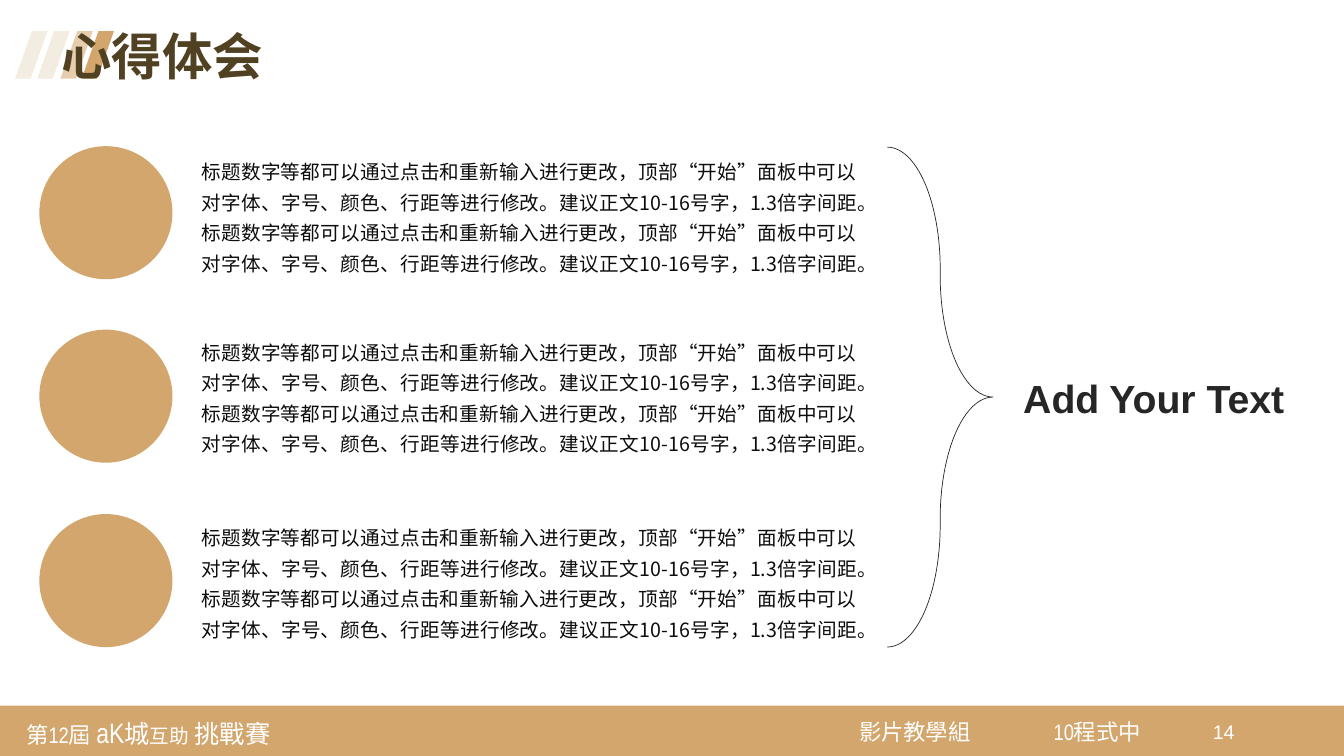
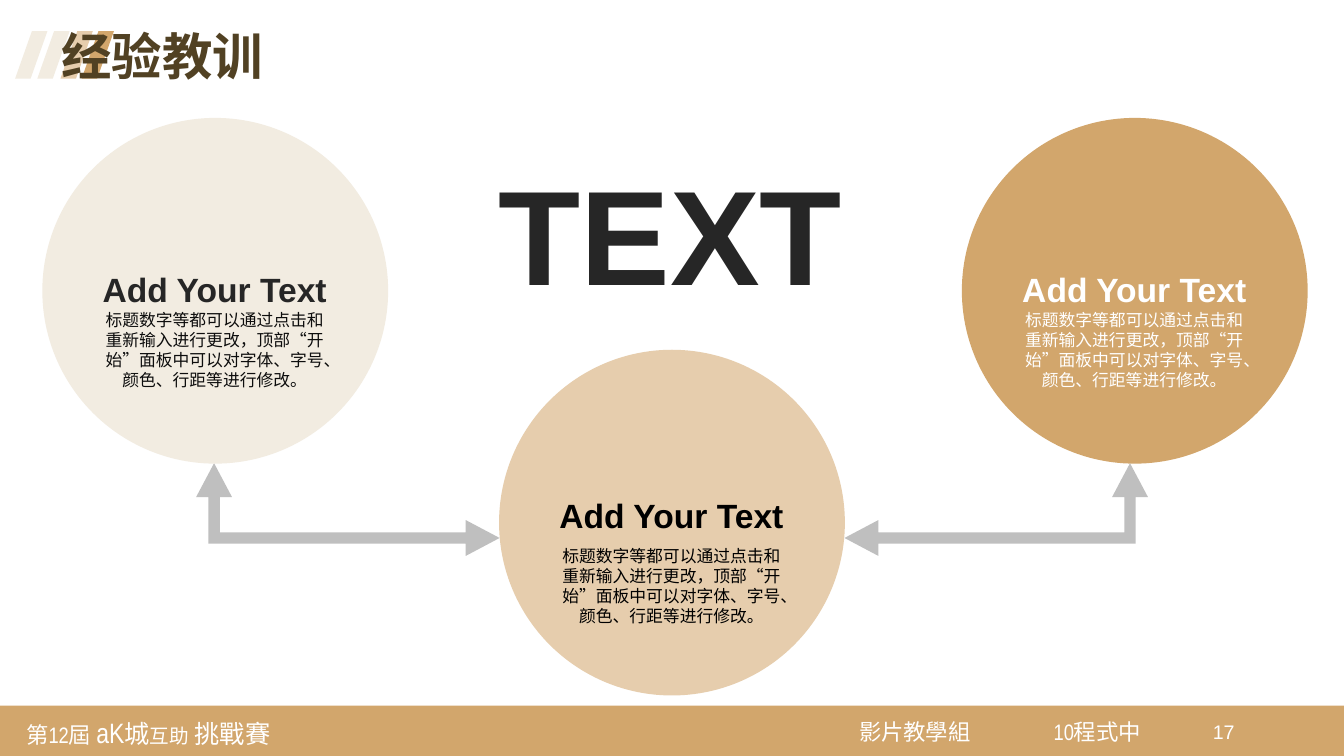
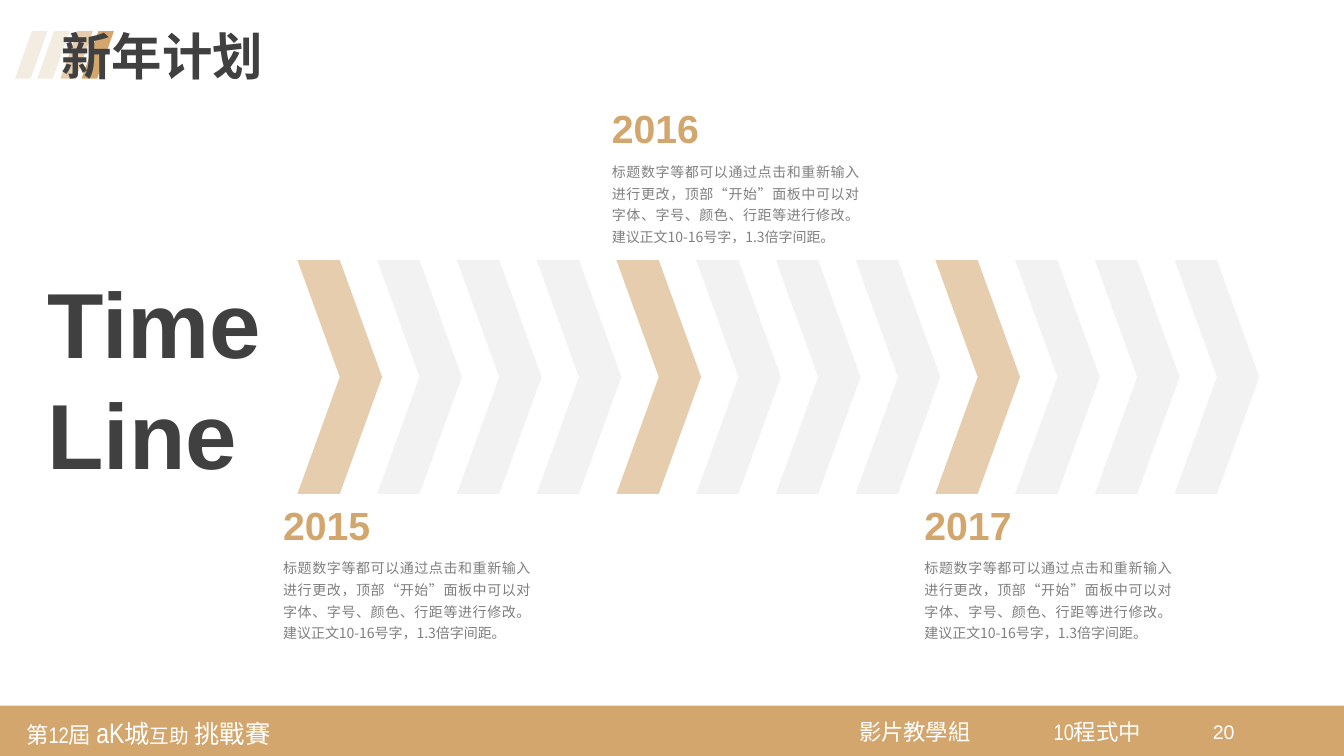
from lxml.etree import SubElement
from pptx import Presentation
from pptx.dml.color import RGBColor
from pptx.enum.lang import MSO_LANGUAGE_ID
from pptx.enum.shapes import MSO_SHAPE
from pptx.enum.text import MSO_ANCHOR, MSO_AUTO_SIZE, PP_ALIGN
from pptx.oxml.ns import qn
from pptx.util import Inches, Pt

GOLD, SAND, CREAM = "D2A66C", "E6CDAD", "F2ECE1"
BROWN, DARK, SLATE, INK = "514123", "262626", "404040", "0D0D0D"
GREY, SILVER, PALE = "808080", "BFBFBF", "F2F2F2"
WHITE, BLACK = "FFFFFF", "000000"
SANS, NARROW, HAN = "Arial", "Arial Narrow", "Noto Sans CJK SC"

SHORT = "标题数字等都可以通过点击和重新输入进行更改，顶部“开始”面板中可以对字体、字号、颜色、行距等进行修改。"
FULL = SHORT + "建议正文10-16号字，1.3倍字间距。"
LABEL = "Add Your Text"


def hue(code):
    return RGBColor.from_string(code)


def style(run, size, face, color, bold=False):
    font = run.font
    font.size = Pt(size)
    font.bold = bold
    font.color.rgb = hue(color)
    font.name = face
    font.language_id = MSO_LANGUAGE_ID.SIMPLIFIED_CHINESE
    SubElement(run._r.get_or_add_rPr(), qn("a:ea")).set("typeface", HAN)


def place(shape, left, top, width, height):
    shape.left, shape.top = Inches(left), Inches(top)
    shape.width, shape.height = Inches(width), Inches(height)


def write(slide, box, text, size, face, color, bold=False,
          align=PP_ALIGN.LEFT, space=None, wrap=True):
    shape = slide.shapes.add_textbox(*map(Inches, box))
    frame = shape.text_frame
    frame.word_wrap = wrap
    frame.auto_size = MSO_AUTO_SIZE.SHAPE_TO_FIT_TEXT
    frame.text = text
    for para in frame.paragraphs:
        para.alignment = align
        if space:
            para.line_spacing = space
        for run in para.runs:
            style(run, size, face, color, bold)
    return shape


def draw(slide, kind, box, fill=None, line=None, adjust=()):
    shape = slide.shapes.add_shape(kind, *map(Inches, box))
    shape.shadow.inherit = False
    if fill:
        shape.fill.solid()
        shape.fill.fore_color.rgb = hue(fill)
    else:
        shape.fill.background()
    if line:
        shape.line.color.rgb = hue(line)
        shape.line.width = Pt(0.5)
    else:
        shape.line.fill.background()
    for index, value in enumerate(adjust):
        shape.adjustments[index] = value
    return shape


def note(slide, box, parts):
    shape = write(slide, box, "", 16, NARROW, WHITE)
    frame = shape.text_frame
    frame.vertical_anchor = MSO_ANCHOR.MIDDLE
    frame.margin_left = frame.margin_right = Inches(0.08)
    frame.margin_top = frame.margin_bottom = Inches(0.08)
    for text, size in parts:
        run = frame.paragraphs[0].add_run()
        run.text = text
        style(run, size, NARROW, WHITE)
    return shape


def brand(layout, slide):
    event = [("第12屆 ", 16), ("aK", 20), ("城", 18), ("互助", 14), (" 挑戰賽", 18)]
    parts = [
        draw(slide, MSO_SHAPE.RECTANGLE, (0, 7, 13.33, 0.5), GOLD),
        note(slide, (0.18, 7.02, 2.83, 0.49), event),
        note(slide, (8.44, 7.04, 1.33, 0.43), [("影片教學組", 16)]),
        note(slide, (10.37, 7.04, 1.33, 0.43), [("10程式中", 16)]),
    ]
    for left, fill in ((0.81, GOLD), (0.6, SAND), (0.37, CREAM), (0.15, CREAM)):
        parts.append(draw(slide, MSO_SHAPE.PARALLELOGRAM,
                          (left, 0.31, 0.32, 0.47), fill, adjust=(0.52,)))
    for part in parts:
        layout.shapes.element.append(part.element)


def start(deck, layout, title, color, number):
    slide = deck.slides.add_slide(layout)
    head = slide.shapes.title
    place(head, 0.51, 0.27, 2.94, 0.65)
    frame = head.text_frame
    frame.text = title
    frame.word_wrap = True
    frame.vertical_anchor = MSO_ANCHOR.TOP
    frame.auto_size = MSO_AUTO_SIZE.SHAPE_TO_FIT_TEXT
    para = frame.paragraphs[0]
    para.alignment = PP_ALIGN.LEFT
    para.line_spacing = 0.9
    style(para.runs[0], 36, SANS, color, True)
    write(slide, (11.93, 7.09, 0.42, 0.41), number, 14, SANS, WHITE)
    return slide


def review(slide):
    for top, level in ((1.45, 1.47), (3.27, 3.26), (5.1, 5.1)):
        draw(slide, MSO_SHAPE.OVAL, (0.39, top, 1.32, 1.32), GOLD)
        write(slide, (1.9, level, 6.7, 1.33), FULL * 2, 14, HAN, INK,
              align=PP_ALIGN.JUSTIFY, space=1.3)
    draw(slide, MSO_SHAPE.RIGHT_BRACE, (8.8, 1.46, 1.05, 4.96),
         line=DARK, adjust=(1.15, 0.5))
    write(slide, (10.05, 3.66, 2.82, 0.57), LABEL, 28, SANS, DARK, True,
          wrap=False)


def disc(slide, left, top, fill, color, ink, head, body):
    draw(slide, MSO_SHAPE.OVAL, (left, top, 3.43, 3.43), fill)
    write(slide, (left + 0.49, top + body, 2.44, 0.91), SHORT, 12, HAN, ink,
          align=PP_ALIGN.CENTER)
    write(slide, (left + 0.46, top + head, 2.5, 0.5), LABEL, 24, SANS, color,
          True, PP_ALIGN.CENTER, wrap=False)


def elbow(slide, left, turn, flip=False):
    arrow = draw(slide, MSO_SHAPE.LEFT_UP_ARROW, (left, 3.55, 0.92, 3.01),
                 SILVER, adjust=(0.123, 0.193, 0.365))
    arrow.rotation = turn
    if flip:
        arrow.element.spPr.find(qn("a:xfrm")).set("flipH", "1")


def lessons(slide):
    elbow(slide, 2.99, 90)
    disc(slide, 0.42, 1.17, CREAM, DARK, INK, 1.45, 1.85)
    disc(slide, 9.54, 1.17, GOLD, WHITE, WHITE, 1.45, 1.85)
    disc(slide, 4.95, 3.47, SAND, BLACK, BLACK, 1.39, 1.89)
    elbow(slide, 9.42, 270, True)
    write(slide, (4.85, 1.45, 3.64, 1.72), "TEXT", 96, SANS, DARK, True,
          wrap=False)


def event(slide, left, top, year):
    write(slide, (left, top, 1.08, 0.57), year, 28, SANS, GOLD, True,
          wrap=False)
    write(slide, (left, top + 0.53, 2.65, 0.98), FULL, 10, HAN, GREY,
          align=PP_ALIGN.JUSTIFY, space=1.3)


def plan(slide):
    write(slide, (0.37, 2.59, 2.35, 2.32), "Time\nLine", 66, SANS, SLATE, True,
          PP_ALIGN.JUSTIFY, wrap=False)
    count, first, last = 12, 2.95, 11.65
    step = (last - first) / (count - 1)
    for index in range(count):
        fill = PALE if index % 4 else SAND
        draw(slide, MSO_SHAPE.CHEVRON,
             (first + step * index, 2.58, 0.84, 2.32), fill)
    event(slide, 2.71, 4.92, "2015")
    event(slide, 5.97, 0.99, "2016")
    event(slide, 9.07, 4.92, "2017")


def main():
    deck = Presentation()
    deck.slide_width, deck.slide_height = Inches(13.33), Inches(7.5)
    layout = deck.slide_layouts[5]
    pages = (
        ("心得体会", BROWN, "14", review),
        ("经验教训", BROWN, "17", lessons),
        ("新年计划", SLATE, "20", plan),
    )
    for title, color, number, build in pages:
        build(start(deck, layout, title, color, number))
    brand(layout, deck.slides[0])
    deck.save("out.pptx")


if __name__ == "__main__":
    main()
